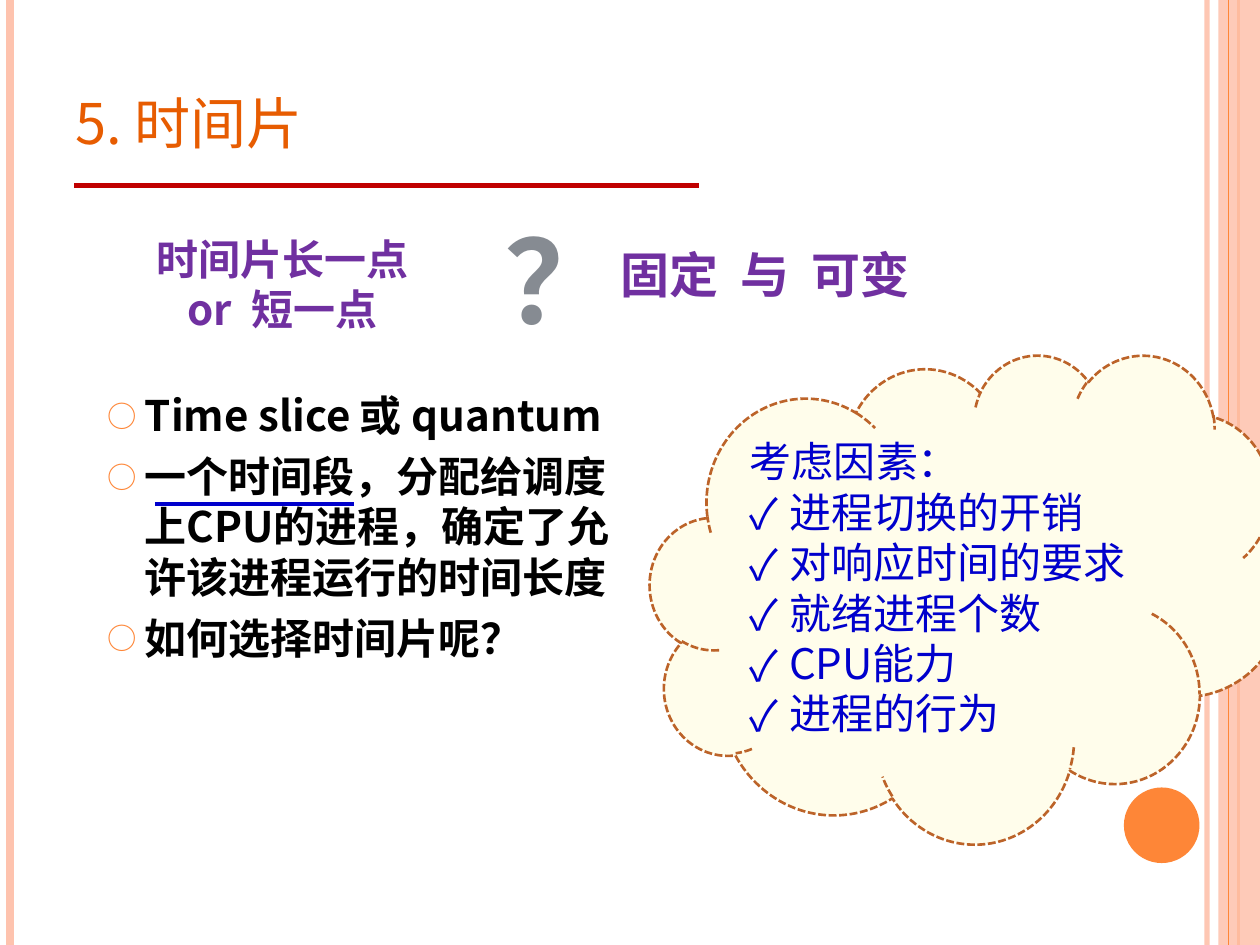
from lxml import etree
from pptx import Presentation
from pptx.dml.color import RGBColor
from pptx.enum.dml import MSO_LINE
from pptx.enum.shapes import MSO_CONNECTOR, MSO_SHAPE
from pptx.enum.text import MSO_ANCHOR as Anchor, MSO_AUTO_SIZE as AutoSize, PP_ALIGN as Align
from pptx.oxml.ns import qn
from pptx.util import Inches, Pt

FONT = "Noto Sans CJK SC"
ORANGE, PINK, PURPLE, BLUE = "FE8637", "FEC3AE", "7030A0", "0000CC"
WIDTH, HEIGHT = 10, 7.5

TITLE = "5. 时间片"
POINTS = ["Time slice 或 quantum",
          "一个时间段，分配给调度上CPU的进程，确定了允许该进程运行的时间长度",
          "如何选择时间片呢？"]
FACTORS_HEADING = "考虑因素："
FACTORS = ["进程切换的开销", "对响应时间的要求", "就绪进程个数", "CPU能力", "进程的行为"]
# text, (left, top, width, height), size
QUESTIONS = [("时间片长一点 or  短一点", (0.98, 1.78, 2.52, 0.94), 24),
             ("固定  与  可变", (4.69, 1.83, 2.76, 0.68), 28)]
MARK_STOPS = [(0, "8C9098"), (25, "868B92"), (50, "71767E"), (75, "868B92"), (100, "8C9098")]
# x, colour, width, opacity
EDGE_LINES = [(9.58, PINK, 3, 93), (0.08, PINK, 4.5, 100), (9.83, ORANGE, 1.5, 100)]


def rgb(code):
    return RGBColor.from_string(code)


def child(parent, tag, **attributes):
    return etree.SubElement(parent, qn(tag), attributes)


def set_alpha(fill_parent, percent):
    color = next(fill_parent.iter(qn("a:srgbClr")))
    child(color, "a:alpha", val=str(percent * 1000))


def add_line(start, end, color, width, alpha=100):
    line = slide.shapes.add_connector(MSO_CONNECTOR.STRAIGHT, *map(Inches, start + end))
    line.line.color.rgb = rgb(color)
    line.line.width = Pt(width)
    if alpha < 100:
        set_alpha(line.line._get_or_add_ln(), alpha)
    child(line._element.spPr, "a:effectLst")


def add_shape(kind, place, color):
    shape = slide.shapes.add_shape(kind, *map(Inches, place))
    shape.shadow.inherit = False
    shape.fill.solid()
    shape.fill.fore_color.rgb = rgb(color)
    shape.line.fill.background()
    return shape


def place_box(box, place):
    box.left, box.top, box.width, box.height = map(Inches, place)


def write(box, texts, size, color, bold=False, align=Align.LEFT, anchor=Anchor.MIDDLE):
    frame = box.text_frame
    frame.word_wrap, frame.auto_size, frame.vertical_anchor = True, AutoSize.NONE, anchor
    frame.text = "\n".join(texts)
    for para in frame.paragraphs:
        para.alignment = align
        for span in para.runs:
            font = span.font
            font.size, font.bold, font.name = Pt(size), bold, FONT
            font.color.rgb = rgb(color)
            child(font._element, "a:ea", typeface=FONT)
    return frame.paragraphs


def add_bullet(para, symbol, indent, color=None, percent=None):
    props = para._p.get_or_add_pPr()
    props.set("marL", str(Inches(indent)))
    props.set("indent", str(-Inches(indent)))
    if color:
        child(child(props, "a:buClr"), "a:srgbClr", val=color)
    if percent:
        child(props, "a:buSzPct", val=str(percent * 1000))
    child(props, "a:buFont", typeface=FONT)
    child(props, "a:buChar", char=symbol)


deck = Presentation()
deck.slide_width, deck.slide_height = Inches(WIDTH), Inches(HEIGHT)
slide = deck.slides.add_slide(deck.slide_layouts[1])

# Edge decoration
for x, color, width, alpha in EDGE_LINES:
    add_line((x, 0), (x, HEIGHT), color, width, alpha)
band = add_shape(MSO_SHAPE.RECTANGLE, (9.67, 0, 0.33, HEIGHT), PINK)
set_alpha(band._element.spPr, 87)
add_line((9.75, 0), (9.75, HEIGHT), ORANGE, 0.75)
add_shape(MSO_SHAPE.OVAL, (8.92, 6.25, 0.6, 0.6), ORANGE)

# Title and its rule
title, body = slide.placeholders
place_box(title, (0.5, 0.3, 8.17, 1.01))
for para in write(title, [TITLE], 40, "E75C01", anchor=Anchor.BOTTOM):
    para.runs[0].font._element.set("cap", "small")
add_line((0.59, 1.47), (5.55, 1.47), "C00000", 3)

# Cloud of factors
cloud = add_shape(MSO_SHAPE.CLOUD, (5.16, 2.81, 5.04, 3.88), "FFFDEB")
cloud.line.color.rgb = rgb("BC6329")
cloud.line.width = Pt(1.5)
cloud.line.dash_style = MSO_LINE.SQUARE_DOT
for para in write(cloud, [FACTORS_HEADING] + FACTORS, 24, BLUE)[1:]:
    add_bullet(para, "✓", 0.31)

# Main points
place_box(body, (0.75, 3.04, 4.33, 3.04))
for para in write(body, POINTS, 24, "000000", bold=True, anchor=Anchor.TOP):
    para.space_before = Pt(6)
    add_bullet(para, "○", 0.3, ORANGE, 70)

# Questions and the large question mark
for text, place, size in QUESTIONS:
    box = slide.shapes.add_textbox(*map(Inches, place))
    write(box, [text], size, PURPLE, bold=True, align=Align.CENTER)

mark = slide.shapes.add_textbox(*map(Inches, (3.9, 1.61, 1.13, 1.21)))
span = write(mark, ["？"], 66, "868B92", True, Align.CENTER, Anchor.TOP)[0].runs[0]
mark.text_frame.word_wrap = False
mark.text_frame.auto_size = AutoSize.SHAPE_TO_FIT_TEXT
span.font.fill.gradient()
gradient = span.font._element.find(qn("a:gradFill"))
stops = gradient.find(qn("a:gsLst"))
for stop in list(stops):
    stops.remove(stop)
for position, color in MARK_STOPS:
    stop = child(stops, "a:gs", pos=str(position * 1000))
    child(stop, "a:srgbClr", val=color)
span.font.fill.gradient_angle = 270

# Underline of the key phrase
add_line((1.23, 4), (2.81, 4), BLUE, 2.25)

deck.save("out.pptx")
